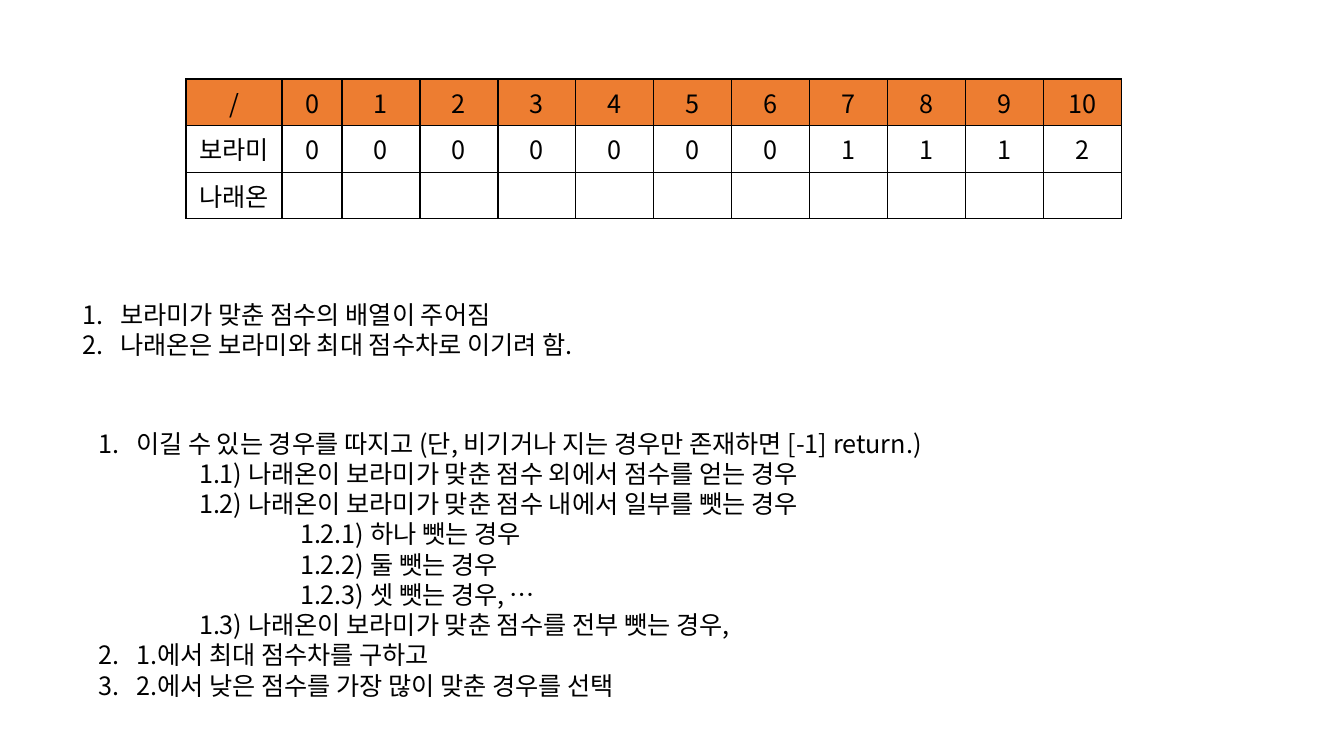
from lxml.etree import SubElement
from pptx import Presentation
from pptx.dml.color import RGBColor
from pptx.enum.text import MSO_ANCHOR, MSO_AUTO_SIZE, PP_ALIGN
from pptx.oxml import parse_xml
from pptx.oxml.ns import nsdecls, qn
from pptx.util import Pt

SCALE = 12192000 / 1344
FONT = "Noto Sans CJK KR"
BLACK = RGBColor(0x00, 0x00, 0x00)
ORANGE = RGBColor(0xED, 0x7D, 0x31)
HANG = 38
STEP = 101

SCORES = [
    ["/", *range(11)],
    ["보라미", 0, 0, 0, 0, 0, 0, 0, 1, 1, 1, 2],
    ["나래온"] + [""] * 11,
]
GOALS = [
    (0, "보라미가 맞춘 점수의 배열이 주어짐"),
    (0, "나래온은 보라미와 최대 점수차로 이기려 함."),
]
PLAN = [
    (0, "이길 수 있는 경우를 따지고 (단, 비기거나 지는 경우만 존재하면 [-1] return.)"),
    (1, "1.1) 나래온이 보라미가 맞춘 점수 외에서 점수를 얻는 경우"),
    (1, "1.2) 나래온이 보라미가 맞춘 점수 내에서 일부를 뺏는 경우"),
    (2, "1.2.1) 하나 뺏는 경우"),
    (2, "1.2.2) 둘 뺏는 경우"),
    (2, "1.2.3) 셋 뺏는 경우, …"),
    (1, "1.3) 나래온이 보라미가 맞춘 점수를 전부 뺏는 경우,"),
    (0, "1.에서 최대 점수차를 구하고"),
    (0, "2.에서 낮은 점수를 가장 많이 맞춘 경우를 선택"),
]


def px(count):
    return round(count * SCALE)


def write(para, text, size=18, color=BLACK, align=PP_ALIGN.LEFT):
    para.alignment = align
    para.line_spacing = 1.0
    para.space_before = para.space_after = Pt(0)
    run = para.add_run()
    run.text = text
    run.font.size = Pt(size)
    run.font.name = FONT
    run.font.color.rgb = color
    SubElement(run.font._element, qn("a:ea"), typeface=FONT)


def indent(para, left, first):
    props = para._p.get_or_add_pPr()
    props.set("marL", str(px(left)))
    props.set("indent", str(px(first)))
    return props


def number(para, start):
    props = indent(para, HANG, -HANG)
    SubElement(props, qn("a:buFont"), typeface=FONT)
    mark = SubElement(props, qn("a:buAutoNum"), type="arabicPeriod")
    if start > 1:
        mark.set("startAt", str(start))


def add_list(body, items, left, top, width, height):
    body.left, body.top = px(left), px(top)
    body.width, body.height = px(width), px(height)
    frame = body.text_frame
    frame.word_wrap = True
    frame.auto_size = MSO_AUTO_SIZE.NONE
    frame.vertical_anchor = MSO_ANCHOR.TOP
    count, start, last = 0, 1, 0
    for place, (depth, text) in enumerate(items):
        para = frame.add_paragraph() if place else frame.paragraphs[0]
        write(para, text)
        if depth:
            SubElement(indent(para, depth * STEP, 0), qn("a:buNone"))
        else:
            count += 1
            start = count if last else start
            number(para, start)
        last = depth


def border(cell):
    props = cell._tc.get_or_add_tcPr()
    for place, side in enumerate(("lnL", "lnR", "lnT", "lnB")):
        line = parse_xml(
            f'<a:{side} {nsdecls("a")} w="{Pt(1)}"><a:solidFill>'
            f'<a:srgbClr val="{BLACK}"/></a:solidFill></a:{side}>'
        )
        props.insert(place, line)


def add_scores(slide, rows, left, top, widths, height):
    frame = slide.shapes.add_table(
        len(rows), len(widths), px(left), px(top),
        px(sum(widths)), px(height * len(rows)),
    )
    table = frame.table
    for col, width in zip(table.columns, widths):
        col.width = px(width)
    for r, row in enumerate(rows):
        table.rows[r].height = px(height)
        for c, value in enumerate(row):
            cell = table.cell(r, c)
            if value != "":
                write(cell.text_frame.paragraphs[0], str(value), align=PP_ALIGN.CENTER)
            if r:
                cell.fill.background()
            else:
                cell.fill.solid()
                cell.fill.fore_color.rgb = ORANGE
            border(cell)


def main():
    deck = Presentation()
    deck.slide_width, deck.slide_height = px(1344), px(756)
    slide = deck.slides.add_slide(deck.slide_layouts[3])
    title, goals, plan = slide.placeholders
    title._element.getparent().remove(title._element)
    add_scores(slide, SCORES, 186, 79, [96, 60] + [78] * 10, 41)
    add_list(goals, GOALS, 72, 294, 568, 71)
    add_list(plan, PLAN, 88, 423, 930, 285)
    deck.save("out.pptx")


if __name__ == "__main__":
    main()
